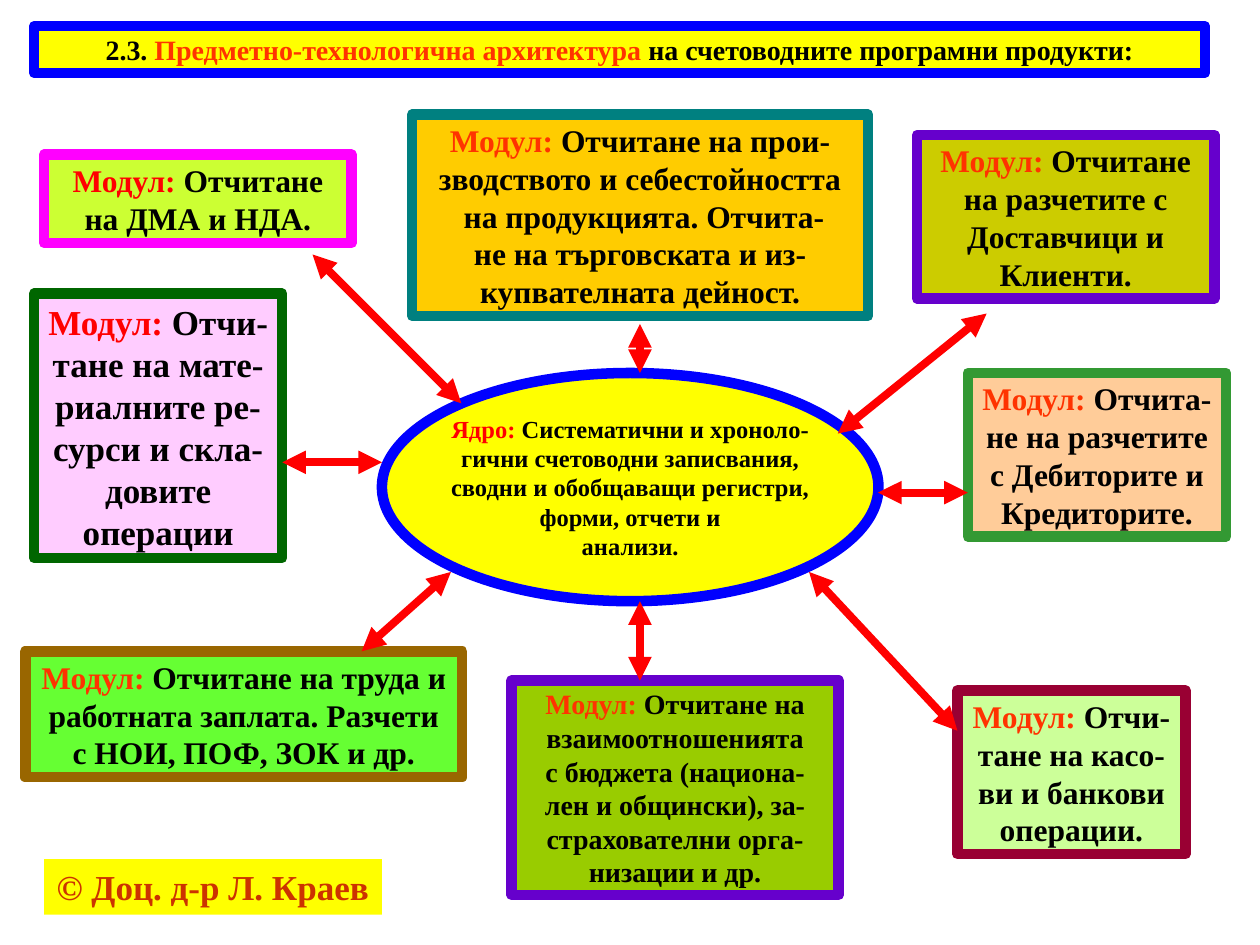
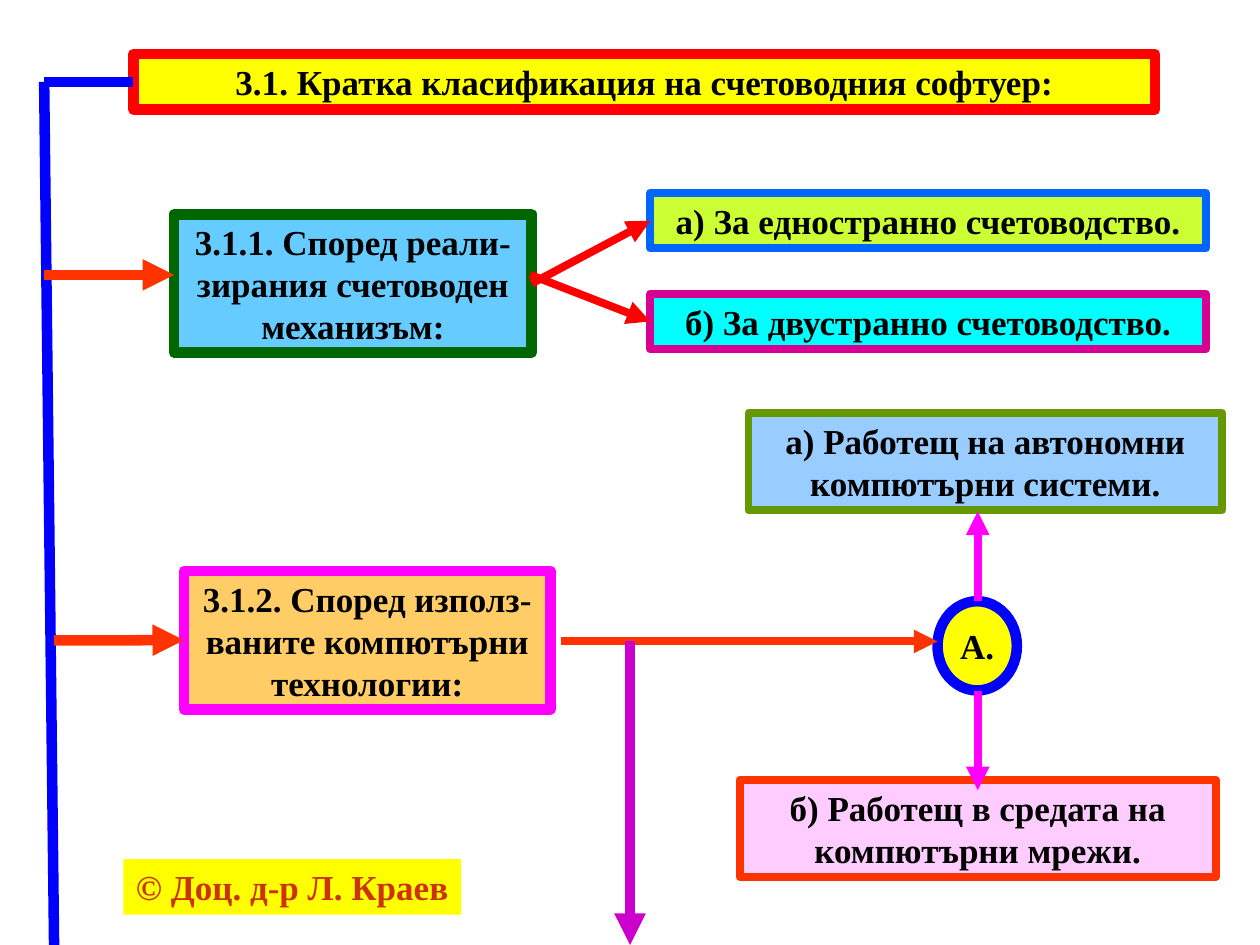
from copy import deepcopy

from pptx import Presentation
from pptx.dml.color import RGBColor
from pptx.enum.shapes import MSO_CONNECTOR, MSO_SHAPE
from pptx.enum.text import MSO_ANCHOR, MSO_AUTO_SIZE, PP_ALIGN
from pptx.oxml.ns import qn
from pptx.oxml.xmlchemy import OxmlElement
from pptx.util import Cm, Pt

BLACK = RGBColor(0x00, 0x00, 0x00)
RED = RGBColor(0xFF, 0x00, 0x00)
ORANGE_RED = RGBColor(0xFF, 0x33, 0x00)
RUST = RGBColor(0xCC, 0x33, 0x00)
MAROON = RGBColor(0x99, 0x00, 0x33)
BROWN = RGBColor(0x99, 0x66, 0x00)
YELLOW = RGBColor(0xFF, 0xFF, 0x00)
GOLD = RGBColor(0xFF, 0xCC, 0x00)
SAND = RGBColor(0xFF, 0xCC, 0x66)
PEACH = RGBColor(0xFF, 0xCC, 0x99)
MUSTARD = RGBColor(0xCC, 0xCC, 0x00)
LIME = RGBColor(0xCC, 0xFF, 0x33)
PALE_GREEN = RGBColor(0xCC, 0xFF, 0x99)
BRIGHT_GREEN = RGBColor(0x66, 0xFF, 0x33)
APPLE_GREEN = RGBColor(0x99, 0xCC, 0x00)
OLIVE = RGBColor(0x66, 0x99, 0x00)
GREEN = RGBColor(0x33, 0x99, 0x33)
DARK_GREEN = RGBColor(0x00, 0x66, 0x00)
TEAL = RGBColor(0x00, 0x80, 0x80)
CYAN = RGBColor(0x00, 0xFF, 0xFF)
SKY = RGBColor(0x66, 0xCC, 0xFF)
PALE_BLUE = RGBColor(0x99, 0xCC, 0xFF)
AZURE = RGBColor(0x00, 0x66, 0xFF)
BLUE = RGBColor(0x00, 0x00, 0xFF)
VIOLET = RGBColor(0x66, 0x00, 0xCC)
PURPLE = RGBColor(0xCC, 0x00, 0xCC)
MAGENTA = RGBColor(0xFF, 0x00, 0xFF)
CRIMSON_PINK = RGBColor(0xD6, 0x00, 0x93)
PINK = RGBColor(0xFF, 0xCC, 0xFF)

THICK, MEDIUM = 6, 4.5
TOP, LEFT, BOTTOM, RIGHT = range(4)

BOX_FORMAT = {
    "word_wrap": True,
    "auto_size": MSO_AUTO_SIZE.SHAPE_TO_FIT_TEXT,
    "vertical_anchor": MSO_ANCHOR.TOP,
}
OVAL_FORMAT = {
    "word_wrap": False,
    "auto_size": MSO_AUTO_SIZE.NONE,
    "vertical_anchor": MSO_ANCHOR.MIDDLE,
}
COPYRIGHT_FORMAT = BOX_FORMAT | {"word_wrap": False}
INSETS = {
    "margin_left": Cm(0.25),
    "margin_right": Cm(0.25),
    "margin_top": Cm(0.13),
    "margin_bottom": Cm(0.13),
}
FONT = {"name": "Times New Roman", "bold": True}


def apply(target, values):
    for attribute, value in values.items():
        setattr(target, attribute, value)


def write_text(frame, parts, size, align):
    paragraph = frame.paragraphs[0]
    paragraph.alignment = align
    for text, color in parts:
        for index, line in enumerate(text.split("\n")):
            if index:
                paragraph.add_line_break()
                line_break = paragraph._p.findall(qn("a:br"))[-1]
                line_break.append(deepcopy(run._r.rPr))
            run = paragraph.add_run()
            run.text = line
            apply(run.font, FONT | {"size": Pt(size)})
            run.font.color.rgb = color


def add_box(slide, place, fill, border, parts, size=20, width=THICK,
            outline=MSO_SHAPE.RECTANGLE, frame_format=BOX_FORMAT,
            align=PP_ALIGN.CENTER):
    box = slide.shapes.add_shape(outline, *map(Cm, place))
    box.shadow.inherit = False
    box.fill.solid()
    box.fill.fore_color.rgb = fill
    if border is None:
        box.line.fill.background()
    else:
        box.line.color.rgb = border
        box.line.width = Pt(width)
    apply(box.text_frame, frame_format | INSETS)
    write_text(box.text_frame, parts, size, align)
    return box


def add_oval(slide, place, parts, size):
    return add_box(slide, place, YELLOW, BLUE, parts, size,
                   outline=MSO_SHAPE.OVAL, frame_format=OVAL_FORMAT)


def add_copyright(slide, left):
    add_box(slide, (left, 17.32, 6.81, 1.12), YELLOW, None,
            [("© Доц. д-р Л. Краев", RUST)],
            frame_format=COPYRIGHT_FORMAT, align=PP_ALIGN.LEFT)


def add_line(slide, ends, color, width=MEDIUM, arrows=("tailEnd",),
             begin=None, end=None):
    line = slide.shapes.add_connector(MSO_CONNECTOR.STRAIGHT, *map(Cm, ends))
    line.line.color.rgb = color
    line.line.width = Pt(width)
    if begin:
        line.begin_connect(*begin)
    if end:
        line.end_connect(*end)
    for arrow in arrows:
        arrowhead = OxmlElement(f"a:{arrow}")
        arrowhead.set("type", "triangle")
        line.line._get_or_add_ln().append(arrowhead)
    line._element.spPr.append(OxmlElement("a:effectLst"))


def build_architecture(slide):
    add_copyright(slide, 0.89)
    add_oval(slide, (7.7, 7.52, 10.01, 4.6), [
        ("Ядро:", RED),
        (" Систематични и хроноло-\nгични счетоводни записвания,\n"
         "сводни и обобщаващи регистри,\nформи, отчети и\nанализи.", BLACK),
    ], 14)

    modules = [
        ((0.89, 3.12, 6.2, 1.78), LIME, MAGENTA, RED, 18,
         " Отчитане\nна ДМА и НДА."),
        ((0.69, 5.92, 5, 5.33), PINK, DARK_GREEN, RED, 20,
         " Отчи-\nтане на мате-\nриалните ре-\nсурси и скла-\nдовите операции"),
        ((0.51, 13.13, 8.81, 2.54), BRIGHT_GREEN, BROWN, ORANGE_RED, 18,
         " Отчитане на труда и работната заплата. Разчети с НОИ, ПОФ, ЗОК и др."),
        ((8.31, 2.31, 9.19, 4.06), GOLD, TEAL, ORANGE_RED, 18,
         " Отчитане на прои-\nзводството и себестойността\n на продукцията. Отчита-\n"
         "не на търговската и из-\nкупвателната дейност."),
        ((18.49, 2.72, 5.99, 3.3), MUSTARD, VIOLET, ORANGE_RED, 18,
         " Отчитане\nна разчетите с\nДоставчици и\nКлиенти."),
        ((19.51, 7.52, 5.21, 3.3), PEACH, GREEN, ORANGE_RED, 18,
         " Отчита-\nне на разчетите\nс Дебиторите и\nКредиторите."),
        ((10.31, 13.72, 6.6, 4.32), APPLE_GREEN, VIOLET, ORANGE_RED, 16,
         " Отчитане на\nвзаимоотношенията\nс бюджета (национа-\n"
         "лен и общински), за-\nстрахователни орга-\nнизации и др."),
        ((19.3, 13.92, 4.6, 3.3), PALE_GREEN, MAROON, ORANGE_RED, 18,
         " Отчи-\nтане на касо-\nви и банкови\nоперации."),
    ]
    for place, fill, border, label_color, size, subject in modules:
        add_box(slide, place, fill, border,
                [("Модул:", label_color), (subject, BLACK)], size)

    add_box(slide, (0.69, 0.53, 23.6, 0.94), YELLOW, BLUE, [
        ("2.3. ", BLACK),
        ("Предметно-технологична архитектура", ORANGE_RED),
        (" на счетоводните програмни продукти:", BLACK),
    ], 16)

    module_links = [
        (6.3, 5.13, 9.3, 8.13),
        (5.69, 9.32, 7.7, 9.32),
        (9.09, 11.53, 7.29, 13.13),
        (12.9, 12.12, 12.9, 13.72),
        (12.9, 6.53, 12.9, 7.52),
        (19.89, 6.32, 16.89, 8.74),
        (17.7, 9.93, 19.51, 9.93),
        (16.31, 11.53, 19.3, 14.73),
    ]
    for ends in module_links:
        add_line(slide, ends, RED, arrows=("headEnd", "tailEnd"))


def build_classification(slide):
    def add_class(place, fill, border, text, width=THICK):
        return add_box(slide, place, fill, border, [(text, BLACK)], width=width)

    add_copyright(slide, 2.49)
    heading = add_class((2.69, 1.09, 20.6, 1.12), YELLOW, RED,
                        "3.1. Кратка класификация на счетоводния софтуер:")
    mechanism = add_class((3.51, 4.32, 7.21, 2.79), SKY, DARK_GREEN,
                          "3.1.1. Според реали-\nзирания счетоводен\nмеханизъм:")
    single_entry = add_class((13.11, 3.89, 11.2, 1.12), LIME, AZURE,
                             "а) За едностранно счетоводство.", MEDIUM)
    double_entry = add_class((13.11, 5.92, 11.2, 1.12), CYAN, CRIMSON_PINK,
                             "б) За двустранно счетоводство.", MEDIUM)
    add_line(slide, (10.72, 5.72, 13.11, 4.45), RED,
             begin=(mechanism, RIGHT), end=(single_entry, LEFT))
    add_line(slide, (10.69, 5.54, 13.11, 6.48), RED, end=(double_entry, LEFT))

    technology = add_class((3.71, 11.51, 7.39, 2.79), SAND, MAGENTA,
                           "3.1.2. Според използ-\nваните компютърни\nтехнологии:")
    add_class((15.09, 8.33, 9.55, 1.96), PALE_BLUE, OLIVE,
              "а) Работещ на автономни компютърни системи.", MEDIUM)
    add_class((14.91, 15.72, 9.6, 1.96), PINK, ORANGE_RED,
              "б) Работещ в средата на компютърни мрежи.", MEDIUM)

    add_line(slide, (2.69, 1.65, 0.89, 1.65), BLUE, THICK, (),
             begin=(heading, LEFT))
    add_line(slide, (0.89, 1.65, 1.09, 19.05), BLUE, THICK, ())
    add_line(slide, (0.89, 5.54, 3.51, 5.54), ORANGE_RED, THICK)
    add_line(slide, (1.09, 12.91, 3.71, 12.91), ORANGE_RED, THICK,
             end=(technology, LEFT))

    add_oval(slide, (18.9, 12.12, 1.6, 1.8), [("А.", BLACK)], 20)
    add_line(slide, (11.3, 12.93, 18.9, 12.93), ORANGE_RED)
    add_line(slide, (19.71, 12.12, 19.71, 10.31), MAGENTA)
    add_line(slide, (19.71, 13.92, 19.71, 15.93), MAGENTA)
    add_line(slide, (12.7, 12.93, 12.7, 19.05), PURPLE, THICK)


def main():
    presentation = Presentation()
    apply(presentation, {"slide_width": Cm(25.4), "slide_height": Cm(19.05)})
    blank = presentation.slide_layouts[6]
    for build in (build_architecture, build_classification):
        build(presentation.slides.add_slide(blank))
    presentation.save("out.pptx")


if __name__ == "__main__":
    main()
